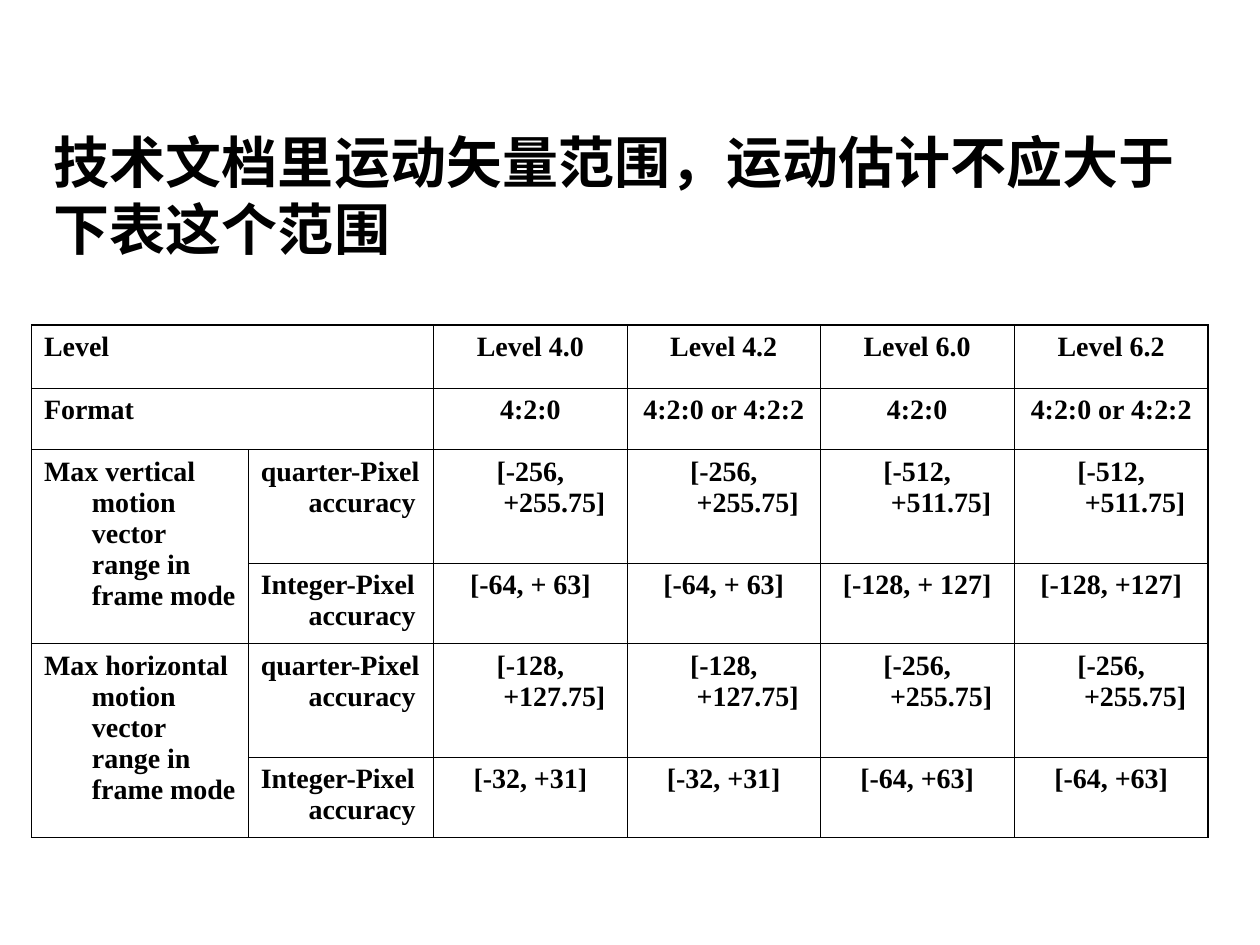
from lxml.etree import SubElement
from pptx import Presentation
from pptx.dml.color import RGBColor
from pptx.enum.text import MSO_ANCHOR, PP_ALIGN
from pptx.oxml.ns import qn
from pptx.util import Inches, Pt

TITLE = "技术文档里运动矢量范围，运动估计不应大于下表这个范围"
COLUMN_WIDTHS = [1.72, 1.47, 1.54, 1.53, 1.54, 1.54]
ROW_HEIGHTS = [0.5, 0.49, 0.9, 0.64, 0.9, 0.64]
ROWS = [
    ["Level", "", "Level 4.0", "Level 4.2", "Level 6.0", "Level 6.2"],
    ["Format", "", "4:2:0", "4:2:0 or 4:2:2", "4:2:0", "4:2:0 or 4:2:2"],
    ["Max vertical motion vector range in frame mode", "quarter-Pixel accuracy",
     "[-256, +255.75]", "[-256, +255.75]", "[-512, +511.75]", "[-512, +511.75]"],
    ["", "Integer-Pixel accuracy",
     "[-64, + 63]", "[-64, + 63]", "[-128, + 127]", "[-128, +127]"],
    ["Max horizontal motion vector range in frame mode", "quarter-Pixel accuracy",
     "[-128, +127.75]", "[-128, +127.75]", "[-256, +255.75]", "[-256, +255.75]"],
    ["", "Integer-Pixel accuracy",
     "[-32, +31]", "[-32, +31]", "[-64, +63]", "[-64, +63]"],
]
# Each merge runs from its first cell to its last, as (row, column) pairs.
MERGES = [((0, 0), (0, 1)), ((1, 0), (1, 1)), ((2, 0), (3, 0)), ((4, 0), (5, 0))]


def color(hex_string):
    return RGBColor.from_string(hex_string)


class SlideBuilder:
    ink = "000000"
    title_font = "Arial"
    table_font = "Times New Roman"
    outer_line = Pt(0.96)
    inner_line = Pt(0.45)
    hanging_indent = Inches(0.38)

    def __init__(self, slide):
        self.slide = slide

    def format_runs(self, paragraph, font_name, size):
        for run in paragraph.runs:
            run.font.name = font_name
            run.font.size = Pt(size)
            run.font.bold = True
            run.font.color.rgb = color(self.ink)

    def add_title(self, text, left, top, width, height):
        shape = self.slide.shapes.add_textbox(
            Inches(left), Inches(top), Inches(width), Inches(height))
        text_frame = shape.text_frame
        text_frame.word_wrap = True
        text_frame.vertical_anchor = MSO_ANCHOR.MIDDLE
        text_frame.text = text
        self.format_runs(text_frame.paragraphs[0], self.title_font, 32)

    def add_table(self, rows, left, top, column_widths, row_heights, merges):
        table = self.slide.shapes.add_table(
            len(rows), len(column_widths), Inches(left), Inches(top),
            Inches(sum(column_widths)), Inches(sum(row_heights))).table
        table.first_row = False
        table.horz_banding = False
        for column, width in zip(table.columns, column_widths):
            column.width = Inches(width)
        for row, height in zip(table.rows, row_heights):
            row.height = Inches(height)
        for first, last in merges:
            table.cell(*first).merge(table.cell(*last))

        last_column = len(column_widths) - 1
        for row_index, texts in enumerate(rows):
            for column_index, text in enumerate(texts):
                cell = table.cell(row_index, column_index)
                self.set_borders(cell, {
                    "a:lnL": column_index == 0,
                    "a:lnR": column_index == last_column,
                    "a:lnT": row_index == 0,
                    "a:lnB": False,
                })
                cell.fill.background()
                if not cell.is_spanned:
                    self.fill_cell(cell, text, centered=column_index > 1)

    def fill_cell(self, cell, text, centered):
        cell.text_frame.text = text
        paragraph = cell.text_frame.paragraphs[0]
        paragraph.alignment = PP_ALIGN.CENTER if centered else PP_ALIGN.LEFT
        properties = paragraph._p.get_or_add_pPr()
        properties.set("marL", str(self.hanging_indent))
        properties.set("indent", str(-self.hanging_indent))
        self.format_runs(paragraph, self.table_font, 16)

    def set_borders(self, cell, outer_sides):
        """Draw every side of a cell, heavier where the side is marked as outer."""
        properties = cell._tc.get_or_add_tcPr()
        for tag, is_outer in outer_sides.items():
            width = self.outer_line if is_outer else self.inner_line
            line = SubElement(properties, qn(tag), w=str(width))
            fill = SubElement(line, qn("a:solidFill"))
            SubElement(fill, qn("a:srgbClr"), val=self.ink)


def main():
    presentation = Presentation()
    presentation.slide_width = Inches(10)
    presentation.slide_height = Inches(7.5)
    slide = presentation.slides.add_slide(presentation.slide_layouts[6])
    builder = SlideBuilder(slide)
    builder.add_table(ROWS, 0.25, 2.58, COLUMN_WIDTHS, ROW_HEIGHTS, MERGES)
    builder.add_title(TITLE, 0.33, 0.92, 9.34, 1.25)
    presentation.save("out.pptx")


if __name__ == "__main__":
    main()
